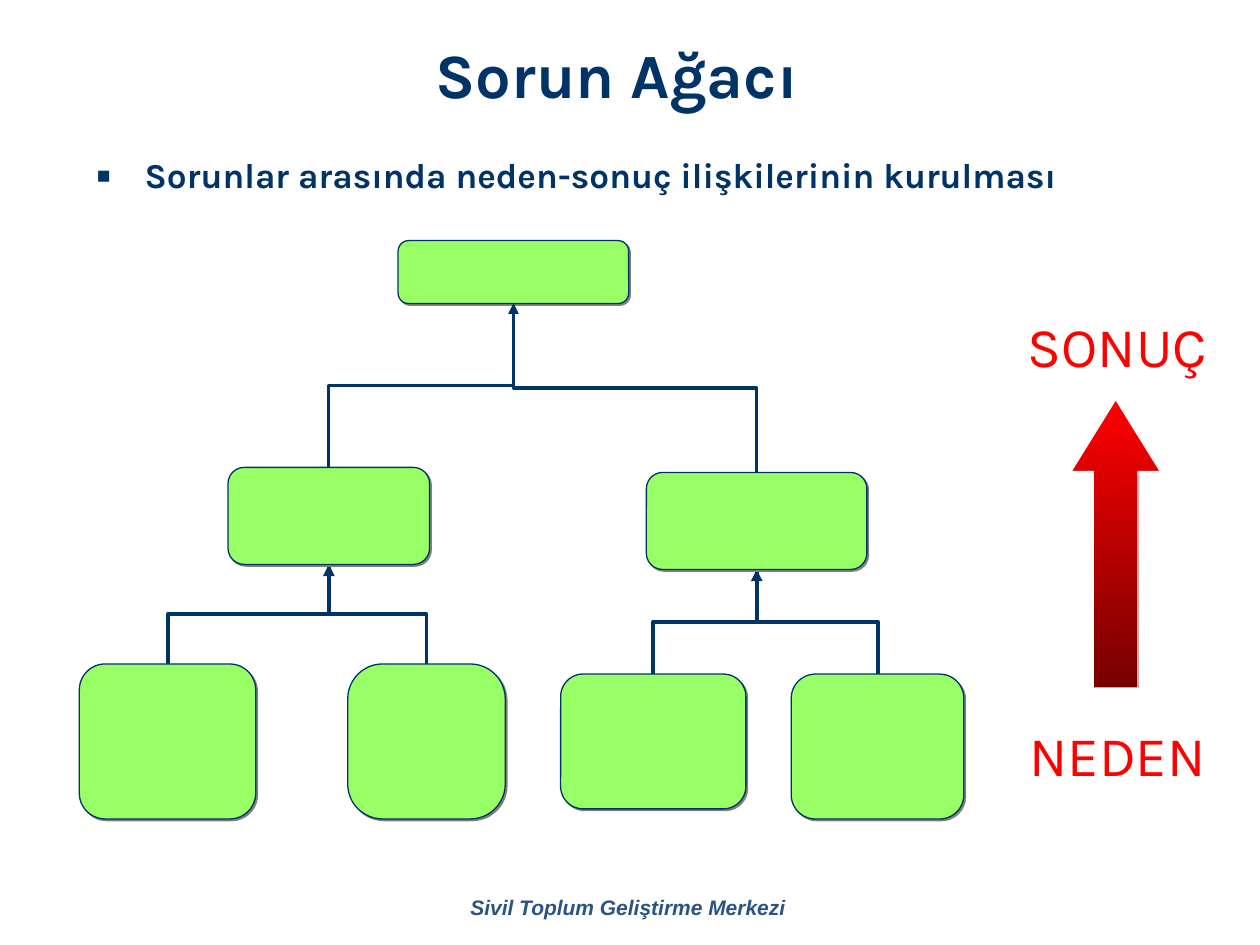
from dataclasses import dataclass

from lxml import etree
from pptx import Presentation
from pptx.dml.color import RGBColor
from pptx.enum.shapes import MSO_CONNECTOR, MSO_SHAPE
from pptx.enum.text import MSO_ANCHOR, PP_ALIGN
from pptx.oxml.ns import qn
from pptx.util import Inches, Pt

ELBOW = MSO_CONNECTOR.ELBOW
ROUNDED = MSO_SHAPE.ROUNDED_RECTANGLE
PROCESS = MSO_SHAPE.FLOWCHART_ALTERNATE_PROCESS
UP_ARROW = MSO_SHAPE.UP_ARROW
CENTER, LEFT = PP_ALIGN.CENTER, PP_ALIGN.LEFT
TOP, MIDDLE = MSO_ANCHOR.TOP, MSO_ANCHOR.MIDDLE

COLORS = {
    "navy": "003366",
    "footer": "2B5481",
    "green": "99FF66",
    "shadow": "808080",
    "red": "FF0000",
    "dark_red": "760000",
    "white": "FFFFFF",
}


@dataclass(frozen=True)
class Node:
    left: float
    top: float
    width: float
    height: float
    preset: int = ROUNDED
    corner: float = 0.167

    @property
    def middle(self) -> float:
        return self.left + self.width / 2

    @property
    def bottom(self) -> float:
        return self.top + self.height


@dataclass(frozen=True)
class Branch:
    child: Node
    parent: Node
    weight: float
    arrowhead: bool = True


ROOT = Node(3.16, 1.91, 1.83, 0.5)
LEFT_CAUSE = Node(1.81, 3.71, 1.6, 0.77, preset=PROCESS)
RIGHT_CAUSE = Node(5.13, 3.75, 1.75, 0.77)
LEFT_LEAVES = [Node(0.63, 5.27, 1.4, 1.23), Node(2.76, 5.27, 1.25, 1.23, corner=0.225)]
RIGHT_LEAVES = [Node(4.45, 5.35, 1.47, 1.07), Node(6.28, 5.35, 1.37, 1.15)]
NODES = [ROOT, LEFT_CAUSE, RIGHT_CAUSE, *LEFT_LEAVES, *RIGHT_LEAVES]

LOWER_BRANCHES = [
    Branch(leaf, cause, 2.25, arrowhead=index == 0)
    for cause, leaves in ((RIGHT_CAUSE, RIGHT_LEAVES), (LEFT_CAUSE, LEFT_LEAVES))
    for index, leaf in enumerate(leaves)
]
UPPER_BRANCHES = [Branch(cause, ROOT, 1.75) for cause in (RIGHT_CAUSE, LEFT_CAUSE)]


def color(name: str) -> RGBColor:
    return RGBColor.from_string(COLORS[name])


def add_text(slide, text: str, left: float, top: float, width: float, height: float, *,
             size: float, color_name: str, font: str = "Karla", bold: bool = False,
             italic: bool = False, align: int = CENTER, anchor: int = TOP,
             bullet: bool = False) -> None:
    box = slide.shapes.add_textbox(Inches(left), Inches(top), Inches(width), Inches(height))
    frame = box.text_frame
    frame.word_wrap = True
    frame.vertical_anchor = anchor
    paragraph = frame.paragraphs[0]
    paragraph.alignment = align
    if bullet:
        paragraph.line_spacing = 0.9
        add_bullet(paragraph, color_name)
    run = paragraph.add_run()
    run.text = text
    run.font.name = font
    run.font.size = Pt(size)
    run.font.bold = bold
    run.font.italic = italic
    run.font.color.rgb = color(color_name)


def add_bullet(paragraph, color_name: str) -> None:
    properties = paragraph._p.get_or_add_pPr()
    properties.set("marL", str(Inches(0.38)))
    properties.set("indent", str(-Inches(0.38)))
    bullet_color = etree.SubElement(properties, qn("a:buClr"))
    etree.SubElement(bullet_color, qn("a:srgbClr"), val=COLORS[color_name])
    etree.SubElement(properties, qn("a:buSzPct"), val="65000")
    etree.SubElement(properties, qn("a:buFont"), typeface="Arial")
    etree.SubElement(properties, qn("a:buChar"), char="■")


def add_node(slide, node: Node) -> None:
    shape = slide.shapes.add_shape(node.preset, Inches(node.left), Inches(node.top),
                                   Inches(node.width), Inches(node.height))
    if node.preset == ROUNDED:
        shape.adjustments[0] = node.corner
    shape.fill.solid()
    shape.fill.fore_color.rgb = color("green")
    shape.line.color.rgb = color("navy")
    shape.line.width = Pt(0.75)
    shape.shadow.inherit = False
    effects = shape._element.spPr.find(qn("a:effectLst"))
    shadow = etree.SubElement(effects, qn("a:outerShdw"), dist=str(Pt(1.4)),
                              dir=str(45 * 60000), algn="ctr", rotWithShape="0")
    etree.SubElement(shadow, qn("a:srgbClr"), val=COLORS["shadow"])


def add_branch(slide, branch: Branch) -> None:
    child, parent = branch.child, branch.parent
    center_x = (child.middle + parent.middle) / 2
    center_y = (child.top + parent.bottom) / 2
    half_rise = (child.top - parent.bottom) / 2
    half_run = abs(child.middle - parent.middle) / 2
    from_left = child.middle < parent.middle
    offset = half_rise if from_left else -half_rise
    connector = slide.shapes.add_connector(
        ELBOW,
        Inches(center_x + offset), Inches(center_y + half_run),
        Inches(center_x - offset), Inches(center_y - half_run))
    connector.rotation = 90 if from_left else 270
    connector.line.color.rgb = color("navy")
    connector.line.width = Pt(branch.weight)
    if branch.arrowhead:
        etree.SubElement(connector.line._get_or_add_ln(), qn("a:tailEnd"), type="triangle")
    etree.SubElement(connector._element.spPr, qn("a:effectLst"))


def add_direction_arrow(slide) -> None:
    arrow = slide.shapes.add_shape(UP_ARROW, Inches(8.5), Inches(3.17),
                                   Inches(0.71), Inches(2.29))
    arrow.adjustments[0] = 0.5
    arrow.adjustments[1] = 0.807
    arrow.fill.gradient()
    arrow.fill.gradient_angle = 270
    for stop, name in zip(arrow.fill.gradient_stops, ("red", "dark_red")):
        stop.color.rgb = color(name)
    arrow.line.color.rgb = color("white")
    arrow.line.width = Pt(0.75)
    arrow.shadow.inherit = False


def main() -> None:
    presentation = Presentation()
    presentation.slide_width = Inches(10)
    presentation.slide_height = Inches(7.5)
    slide = presentation.slides.add_slide(presentation.slide_layouts[6])

    add_text(slide, "Sivil Toplum Geliştirme Merkezi", 2.9, 7, 4.17, 0.4, size=12,
             color_name="footer", font="Arial", bold=True, italic=True, anchor=MIDDLE)
    add_text(slide, "Sorun Ağacı", 0.83, 0.08, 8.13, 1, size=36,
             color_name="navy", bold=True, anchor=MIDDLE)
    add_text(slide, "Sorunlar arasında neden-sonuç ilişkilerinin kurulması",
             0.67, 1.21, 8.54, 0.71, size=20, color_name="navy", bold=True,
             align=LEFT, bullet=True)

    for branch in LOWER_BRANCHES:
        add_branch(slide, branch)
    for node in NODES:
        add_node(slide, node)
    for label, top in (("NEDEN", 5.67), ("SONUÇ", 2.42)):
        add_text(slide, label, 7.87, top, 2, 0.79, size=32, color_name="red")
    add_direction_arrow(slide)
    for branch in UPPER_BRANCHES:
        add_branch(slide, branch)

    presentation.save("out.pptx")


if __name__ == "__main__":
    main()
